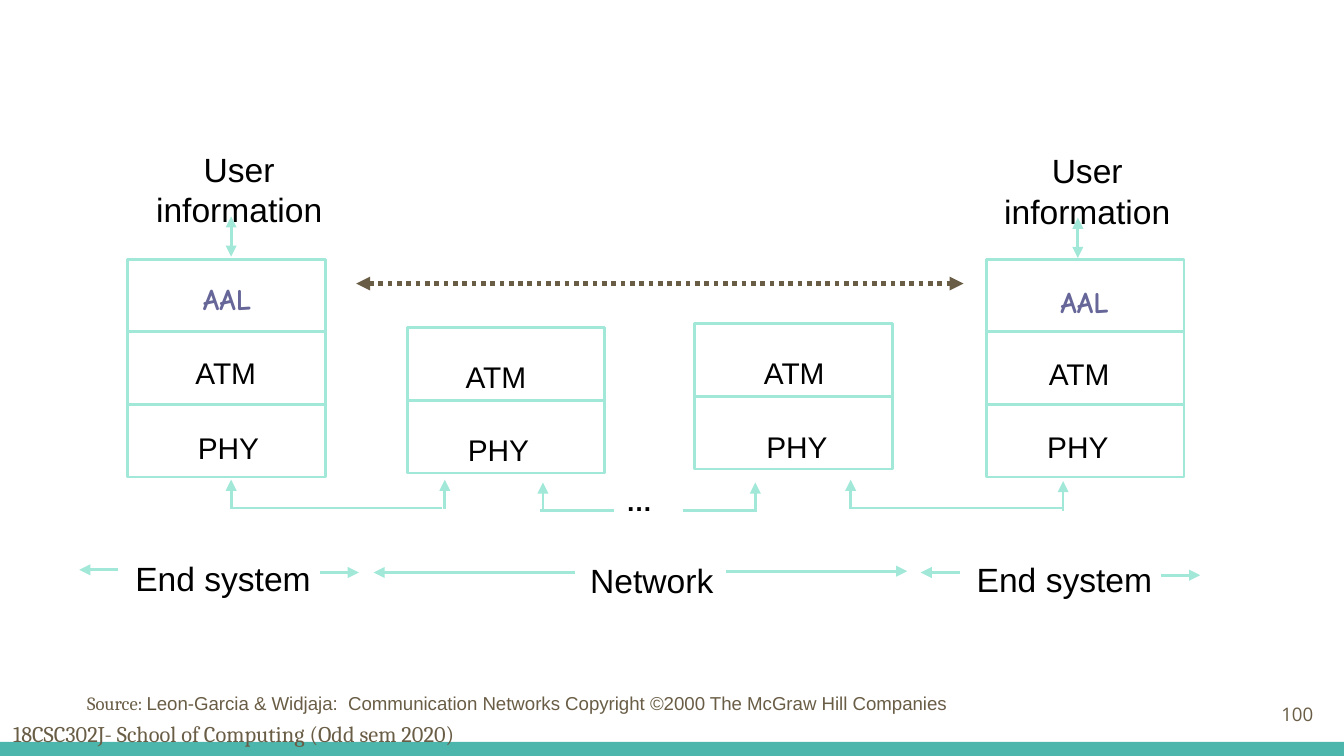
"""Build the slide showing the ATM protocol stacks between two end systems."""
from dataclasses import dataclass

from lxml.etree import SubElement
from pptx import Presentation
from pptx.dml.color import RGBColor
from pptx.enum.dml import MSO_LINE
from pptx.enum.shapes import MSO_CONNECTOR, MSO_SHAPE
from pptx.enum.text import MSO_ANCHOR, MSO_AUTO_SIZE, PP_ALIGN
from pptx.oxml.ns import qn
from pptx.util import Inches, Pt


@dataclass(frozen=True)
class Theme:
    """Colours, fonts, type sizes and line widths of the slide."""
    mint: str = "A1E8D9"
    teal: str = "4DB6AC"
    brown: str = "695D46"
    violet: str = "666699"
    black: str = "000000"
    sans: str = "Arial"
    serif: str = "Cambria"
    comic: str = "Comic Neue"
    number_font: str = "Open Sans"
    caption: int = 18
    layer: int = 16
    dots: int = 14
    footer: int = 12
    small: int = 10
    thin: float = 1.5
    thick: float = 2.5


THEME = Theme()
LAYER_WIDTH, LAYER_HEIGHT = 1.47, 0.54


def style_run(run, size, font, color, bold=False):
    """Set the type of one run."""
    run.font.size = Pt(size)
    run.font.name = font
    run.font.bold = bold
    run.font.color.rgb = RGBColor.from_string(color)


def add_label(slide, at, text, size, font=THEME.sans, color=THEME.black,
              bold=False, align=PP_ALIGN.CENTER, wrap=True):
    """Add a text box with one styled paragraph and return its frame."""
    frame = slide.shapes.add_textbox(*map(Inches, at)).text_frame
    frame.word_wrap = wrap
    frame.auto_size = MSO_AUTO_SIZE.SHAPE_TO_FIT_TEXT
    frame.text = text
    paragraph = frame.paragraphs[0]
    paragraph.alignment = align
    style_run(paragraph.runs[0], size, font, color, bold)
    return frame


def add_box(slide, at, fill=None, outline=None):
    """Add a rectangle with an optional fill and outline."""
    box = slide.shapes.add_shape(MSO_SHAPE.RECTANGLE, *map(Inches, at))
    box.shadow.inherit = False
    if fill:
        box.fill.solid()
        box.fill.fore_color.rgb = RGBColor.from_string(fill)
    else:
        box.fill.background()
    if outline:
        box.line.color.rgb = RGBColor.from_string(outline)
        box.line.width = Pt(THEME.thin)
    else:
        box.line.fill.background()


def add_line(slide, start, end, ends=(), color=THEME.mint, width=THEME.thin, dash=None):
    """Add a straight line with arrowheads at the named ends."""
    line = slide.shapes.add_connector(
        MSO_CONNECTOR.STRAIGHT, *map(Inches, (*start, *end)))
    line.line.color.rgb = RGBColor.from_string(color)
    line.line.width = Pt(width)
    if dash:
        line.line.dash_style = dash
    properties = line._element.spPr.find(qn("a:ln"))
    for end_name in ends:
        SubElement(properties, qn(f"a:{end_name}"), type="triangle")
    SubElement(line._element.spPr, qn("a:effectLst"))


def add_stack(slide, left, top, layers):
    """Add a protocol stack; each layer has a name and its label's corner."""
    for row, (name, label_left, label_top) in enumerate(layers):
        add_box(slide, (left, top + row * LAYER_HEIGHT, LAYER_WIDTH, LAYER_HEIGHT),
                outline=THEME.mint)
        adaptation = name == "AAL"
        add_label(slide, (label_left, label_top, 0.66, 0.37), name, THEME.layer,
                  font=THEME.comic if adaptation else THEME.sans,
                  color=THEME.violet if adaptation else THEME.black,
                  bold=adaptation, wrap=False)


def add_stacks(slide):
    """Add the two end system stacks and the two network stacks."""
    add_stack(slide, 0.95, 1.93,
              [("AAL", 1.36, 2.04), ("ATM", 1.35, 2.59), ("PHY", 1.37, 3.15)])
    add_stack(slide, 3.03, 2.44, [("ATM", 3.36, 2.62), ("PHY", 3.38, 3.16)])
    add_stack(slide, 5.17, 2.41, [("ATM", 5.58, 2.59), ("PHY", 5.6, 3.14)])
    add_stack(slide, 7.34, 1.93,
              [("AAL", 7.74, 2.06), ("ATM", 7.7, 2.6), ("PHY", 7.69, 3.14)])


def add_user_information(slide):
    """Add the user data above both end systems and the peer link."""
    for label_left, arrow_x, top in ((0.95, 1.72, 1.06), (7.26, 8.02, 1.07)):
        add_label(slide, (label_left, top, 1.66, 0.7), "User information", THEME.caption)
        add_line(slide, (arrow_x, top + 0.55), (arrow_x, top + 0.85),
                 ("headEnd", "tailEnd"))
    add_line(slide, (2.65, 2.11), (7.17, 2.11), ("headEnd", "tailEnd"),
             THEME.brown, THEME.thick, MSO_LINE.ROUND_DOT)


def add_physical_links(slide):
    """Add the links that join neighbouring stacks from below."""
    for x, top in ((1.72, 3.57), (3.31, 3.57), (4.04, 3.59),
                   (5.62, 3.59), (6.33, 3.57), (7.91, 3.58)):
        add_line(slide, (x, top), (x, top + 0.22), ("headEnd",))
    for left, right, y in ((1.71, 3.29, 3.78), (4.02, 4.57, 3.8),
                           (5.08, 5.62, 3.8), (6.32, 7.9, 3.78)):
        add_line(slide, (left, y), (right, y))
    add_label(slide, (4.56, 3.56, 0.5, 0.34), "…", THEME.dots, bold=True,
              align=PP_ALIGN.LEFT)


def add_spans(slide):
    """Add the names of the regions with arrows to their limits."""
    spans = (
        ("End system", 0.83, 4.1, (0.88, 0.59, 4.24), (2.38, 2.67, 4.26)),
        ("Network", 4.02, 4.12, (4.28, 2.78, 4.26), (5.4, 6.75, 4.25)),
        ("End system", 7.09, 4.11, (7.14, 6.85, 4.26), (8.64, 8.93, 4.28)),
    )
    for name, left, top, *arrows in spans:
        add_label(slide, (left, top, 1.66, 0.4), name, THEME.caption)
        for start, end, y in arrows:
            add_line(slide, (start, y), (end, y), ("tailEnd",))


def add_footer(slide):
    """Add the base bar, course name, slide number and source line."""
    add_box(slide, (0, 5.52, 10, 0.11), fill=THEME.teal)
    add_label(slide, (0, 5.31, 5.75, 0.3), "18CSC302J- School of Computing (Odd sem 2020)",
              THEME.footer, THEME.serif, THEME.brown, align=PP_ALIGN.LEFT)
    number = add_label(slide, (9.27, 5.1, 0.6, 0.43), "100", THEME.small,
                       THEME.number_font, THEME.brown, align=PP_ALIGN.RIGHT)
    number.auto_size = MSO_AUTO_SIZE.NONE
    number.vertical_anchor = MSO_ANCHOR.MIDDLE
    number.margin_top = number.margin_bottom = Inches(0.1)
    source = add_label(slide, (0.55, 5.1, 8.87, 0.44), "Source: ", THEME.small,
                       THEME.serif, THEME.brown, align=PP_ALIGN.LEFT)
    citation = source.paragraphs[0].add_run()
    citation.text = ("Leon-Garcia & Widjaja:  Communication Networks "
                     "Copyright ©2000 The McGraw Hill Companies")
    style_run(citation, THEME.small, THEME.sans, THEME.brown)


def main():
    """Build and save the slide."""
    presentation = Presentation()
    presentation.slide_width = Inches(10)
    presentation.slide_height = presentation.slide_width * 9 // 16
    slide = presentation.slides.add_slide(presentation.slide_layouts[6])
    add_footer(slide)
    add_stacks(slide)
    add_user_information(slide)
    add_physical_links(slide)
    add_spans(slide)
    presentation.save("out.pptx")


if __name__ == "__main__":
    main()
